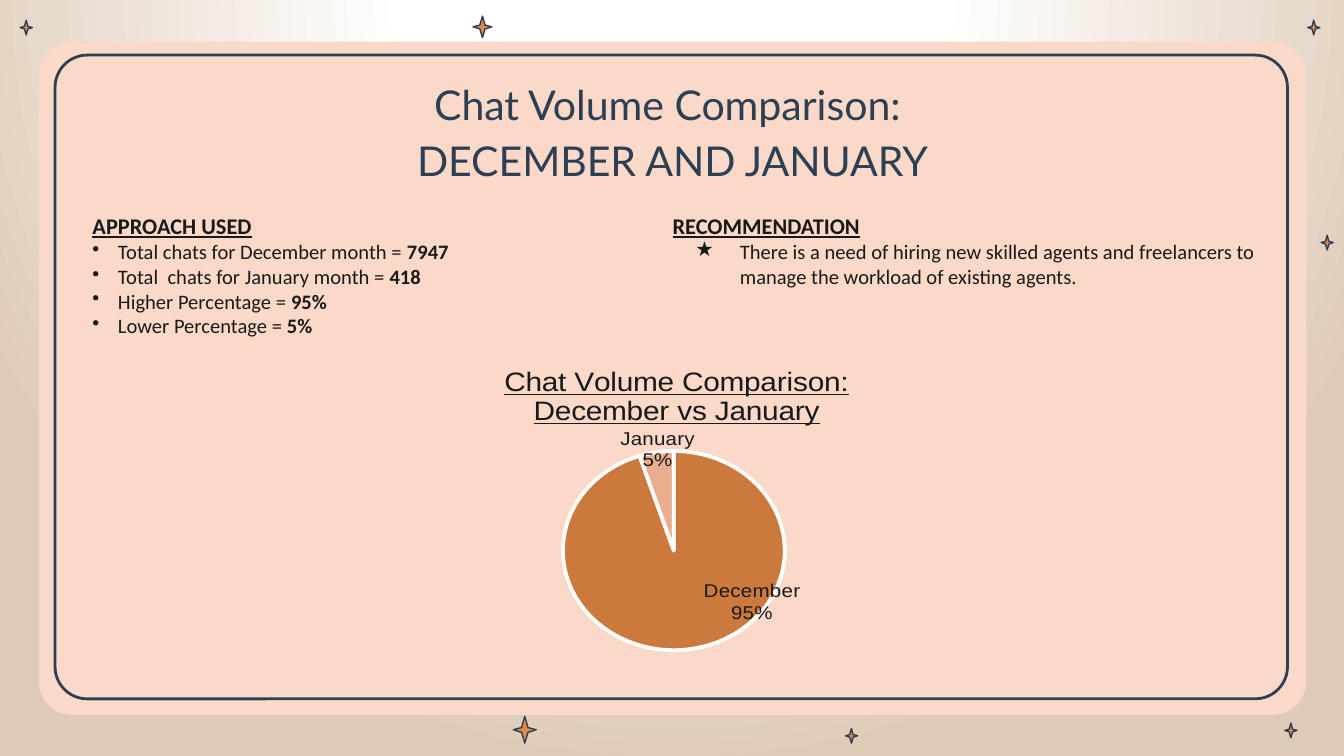
from pptx import Presentation
from pptx.chart.data import CategoryChartData
from pptx.dml.color import RGBColor
from pptx.enum.chart import XL_CHART_TYPE as Kind, XL_LABEL_POSITION as Pos
from pptx.enum.shapes import MSO_SHAPE as Shape
from pptx.enum.text import MSO_ANCHOR as Anchor, PP_ALIGN as Align
from pptx.oxml import parse_xml
from pptx.oxml.ns import nsdecls, qn
from pptx.util import Inches, Pt
from lxml import etree

WHITE = RGBColor(0xFF, 0xFF, 0xFF)
PEACH = RGBColor(0xFA, 0xD9, 0xC9)
NAVY = RGBColor(0x2D, 0x3F, 0x53)
ORANGE = RGBColor(0xE5, 0x88, 0x45)
INK = RGBColor(0x19, 0x19, 0x19)
BROWN = RGBColor(0xCB, 0x79, 0x3D)
PINK = RGBColor(0xEB, 0xAD, 0x90)

prs = Presentation()
prs.slide_width, prs.slide_height = Inches(10), Inches(10 * 9 / 16)
slide = prs.slides.add_slide(prs.slide_layouts[5])
shapes = slide.shapes

# Background glow
slide.background.fill.gradient()
old = slide.element.find(".//" + qn("a:gradFill"))
glow = parse_xml(
    f'<a:gradFill {nsdecls("a")}><a:gsLst>'
    '<a:gs pos="0"><a:srgbClr val="FFFFFF"/></a:gs>'
    '<a:gs pos="35000"><a:srgbClr val="FFFFFF"/></a:gs>'
    '<a:gs pos="100000"><a:srgbClr val="DECBB7"/></a:gs></a:gsLst>'
    '<a:path path="circle"><a:fillToRect l="50000" t="-80000" r="50000" b="180000"/>'
    '</a:path></a:gradFill>')
old.getparent().replace(old, glow)

# Card and its inner frame
for x, y, w, h, framed in [(0.29, 0.31, 9.43, 5.01, False), (0.41, 0.41, 9.17, 4.79, True)]:
    card = shapes.add_shape(Shape.ROUNDED_RECTANGLE, Inches(x), Inches(y), Inches(w), Inches(h))
    card.adjustments[0] = 0.05
    card.shadow.inherit = False
    if framed:
        card.fill.background()
        card.line.color.rgb = NAVY
        card.line.width = Pt(1.5)
    else:
        card.fill.solid()
        card.fill.fore_color.rgb = PEACH
        card.line.fill.background()

# Sparkles: left, top, width, height
TIPS = [(0.5, 0), (0.36, 0.42), (0, 0.5), (0.36, 0.6), (0.5, 1), (0.64, 0.6), (1, 0.5), (0.64, 0.42)]
for x, y, w, h in [(9.83, 1.75, 0.09, 0.11), (3.52, 0.12, 0.14, 0.16), (0.15, 0.15, 0.09, 0.11),
                   (9.73, 0.15, 0.09, 0.11), (6.29, 5.42, 0.09, 0.11), (3.82, 5.33, 0.17, 0.2),
                   (9.56, 5.38, 0.09, 0.11)]:
    pts = [(Inches(x + w * a), Inches(y + h * b)) for a, b in TIPS]
    pen = shapes.build_freeform(*pts[0])
    pen.add_line_segments(pts[1:], close=True)
    star = pen.convert_to_shape()
    star.shadow.inherit = False
    star.fill.solid()
    star.fill.fore_color.rgb = ORANGE
    star.line.color.rgb = NAVY
    star.line.width = Pt(0.75)

# Pie chart
data = CategoryChartData()
data.categories = ["December", "January"]
data.add_series("Series 1", (95, 5))
chart = shapes.add_chart(Kind.PIE, Inches(2.92), Inches(2.58), Inches(4.23), Inches(2.62), data).chart
chart.has_legend = False
chart.font.name, chart.font.size = "Arial", Pt(10)
chart.has_title = True
head = chart.chart_title.text_frame
head.text = "Chat Volume Comparison: December vs January"
font = head.paragraphs[0].font
font.name, font.size, font.bold, font.underline = "Arial", Pt(16), False, True
font.color.rgb = INK
plot = chart.plots[0]
plot.vary_by_categories = True
area = chart._chartSpace.find(".//" + qn("c:plotArea"))
for lay in area.findall(qn("c:layout")):
    area.remove(lay)
area.insert(0, parse_xml(
    f'<c:layout {nsdecls("c")}><c:manualLayout><c:layoutTarget val="inner"/>'
    '<c:xMode val="edge"/><c:yMode val="edge"/><c:x val="0.04"/><c:y val="0.33"/>'
    '<c:w val="0.91"/><c:h val="0.63"/></c:manualLayout></c:layout>'))
pie = plot.series[0]
for i, tone in enumerate([BROWN, PINK]):
    wedge = pie.points[i].format
    wedge.fill.solid()
    wedge.fill.fore_color.rgb = tone
    wedge.line.color.rgb = WHITE
    wedge.line.width = Pt(2)
tags = pie.data_labels
tags.show_percentage = tags.show_category_name = True
tags.show_value = False
tags.position = Pos.OUTSIDE_END
tags.font.name, tags.font.size = "Arial", Pt(11)
tags.font.color.rgb = INK
box = pie._element.find(qn("c:dLbls"))
for lead in box.findall(qn("c:showLeaderLines")):
    box.remove(lead)
etree.SubElement(box, qn("c:showLeaderLines"), val="0")
# Nudge each label from its outside place
for i, (dx, dy) in enumerate([(0.02, -0.24), (0.07, 0.08)]):
    box.insert(i, parse_xml(
        f'<c:dLbl {nsdecls("c")}><c:idx val="{i}"/><c:layout><c:manualLayout>'
        f'<c:x val="{dx}"/><c:y val="{dy}"/></c:manualLayout></c:layout>'
        '<c:dLblPos val="outEnd"/><c:showLegendKey val="0"/><c:showVal val="0"/>'
        '<c:showCatName val="1"/><c:showSerName val="0"/><c:showPercent val="1"/>'
        '<c:showBubbleSize val="0"/><c:separator>\n</c:separator></c:dLbl>'))

# Two-column notes: bullet, then plain and bold text
NOTES = [("", "", "APPROACH USED"),
         ("•", "Total chats for December month = ", "7947"),
         ("•", "Total  chats for January month = ", "418"),
         ("•", "Higher Percentage = ", "95%"),
         ("•", "Lower Percentage = ", "5%"),
         ("", "", "RECOMMENDATION"),
         ("★", "There is a need of hiring new skilled agents and freelancers "
               "to manage the workload of existing agents.", "")]
notes = shapes.add_textbox(Inches(0.42), Inches(1.48), Inches(9.17), Inches(1.16)).text_frame
notes.word_wrap = True
notes.margin_left = notes.margin_right = notes.margin_top = notes.margin_bottom = Inches(0.1)
notes._txBody.bodyPr.set("numCol", "2")
for i, (mark, plain, bold) in enumerate(NOTES):
    para = notes.paragraphs[0] if i == 0 else notes.add_paragraph()
    para.font.name = "Calibri"
    para.font.size = Pt(11 if mark else 12)
    para.font.color.rgb = INK
    para.font.underline = not mark
    for text, strong in [(plain, False), (bold, True)]:
        if text:
            run = para.add_run()
            run.text = text
            run.font.bold = strong
    left, hang = {"•": (0.36, -0.19), "★": (0.5, -0.33)}.get(mark, (0.17 if i == 0 else 0, 0))
    props = para._p.get_or_add_pPr()
    props.set("marL", str(Inches(left)))
    props.set("indent", str(Inches(hang)))
    if mark:
        bullet = etree.Element(qn("a:buChar"), char=mark)
        props.insert(0, bullet)

# Title, in front of the card
title = shapes.title
shapes._spTree.append(title._element)
title.left, title.top, title.width, title.height = Inches(0.42), Inches(0.5), Inches(9.17), Inches(0.91)
frame = title.text_frame
frame.text = "Chat Volume Comparison: \nDECEMBER AND JANUARY"
frame.vertical_anchor = Anchor.MIDDLE
frame.margin_left = frame.margin_right = frame.margin_top = frame.margin_bottom = Inches(0.1)
for para in frame.paragraphs:
    para.alignment = Align.CENTER
    para.line_spacing = 1.15
    para.font.name, para.font.size = "Lato", Pt(22)
    para.font.color.rgb = NAVY

prs.save("out.pptx")
